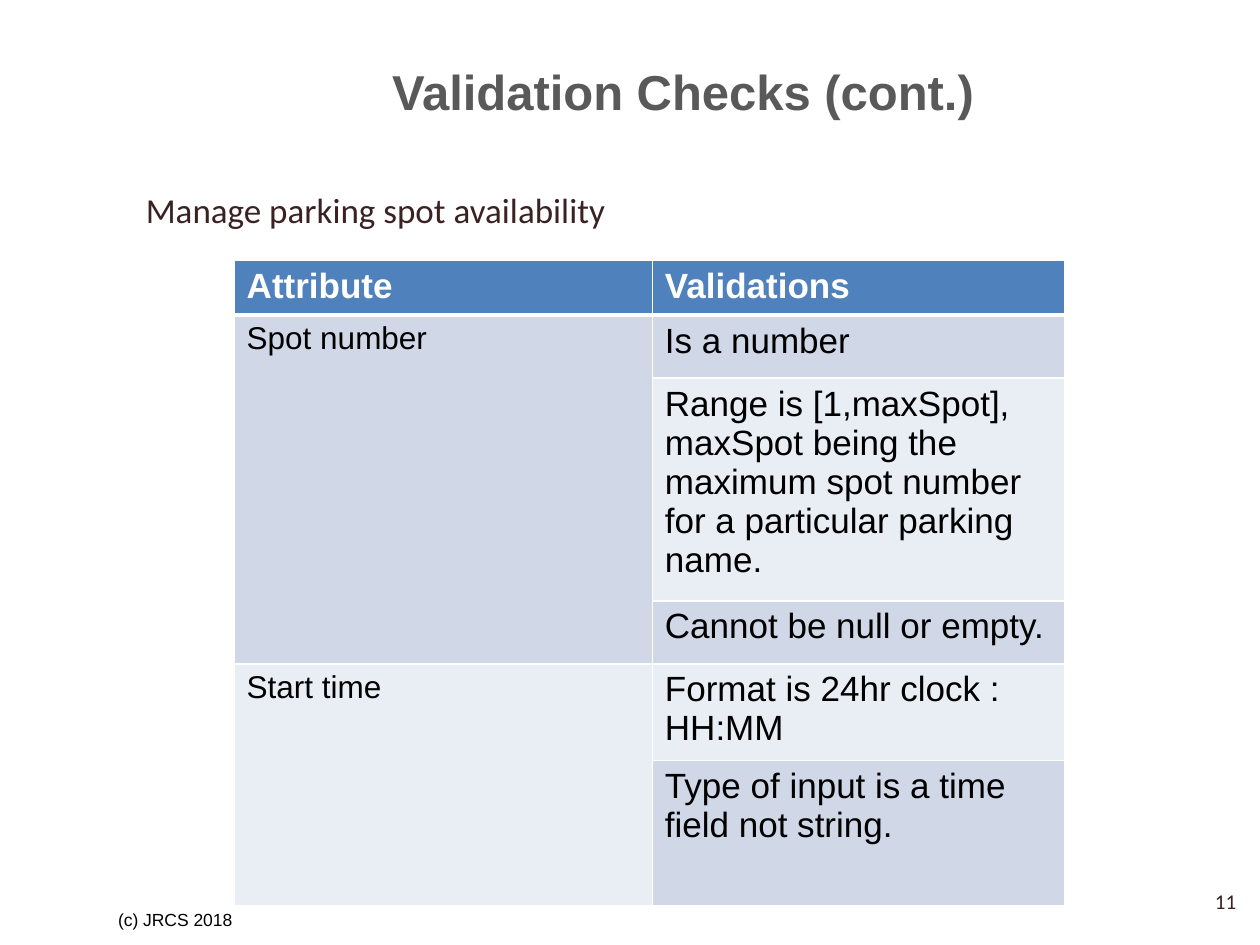
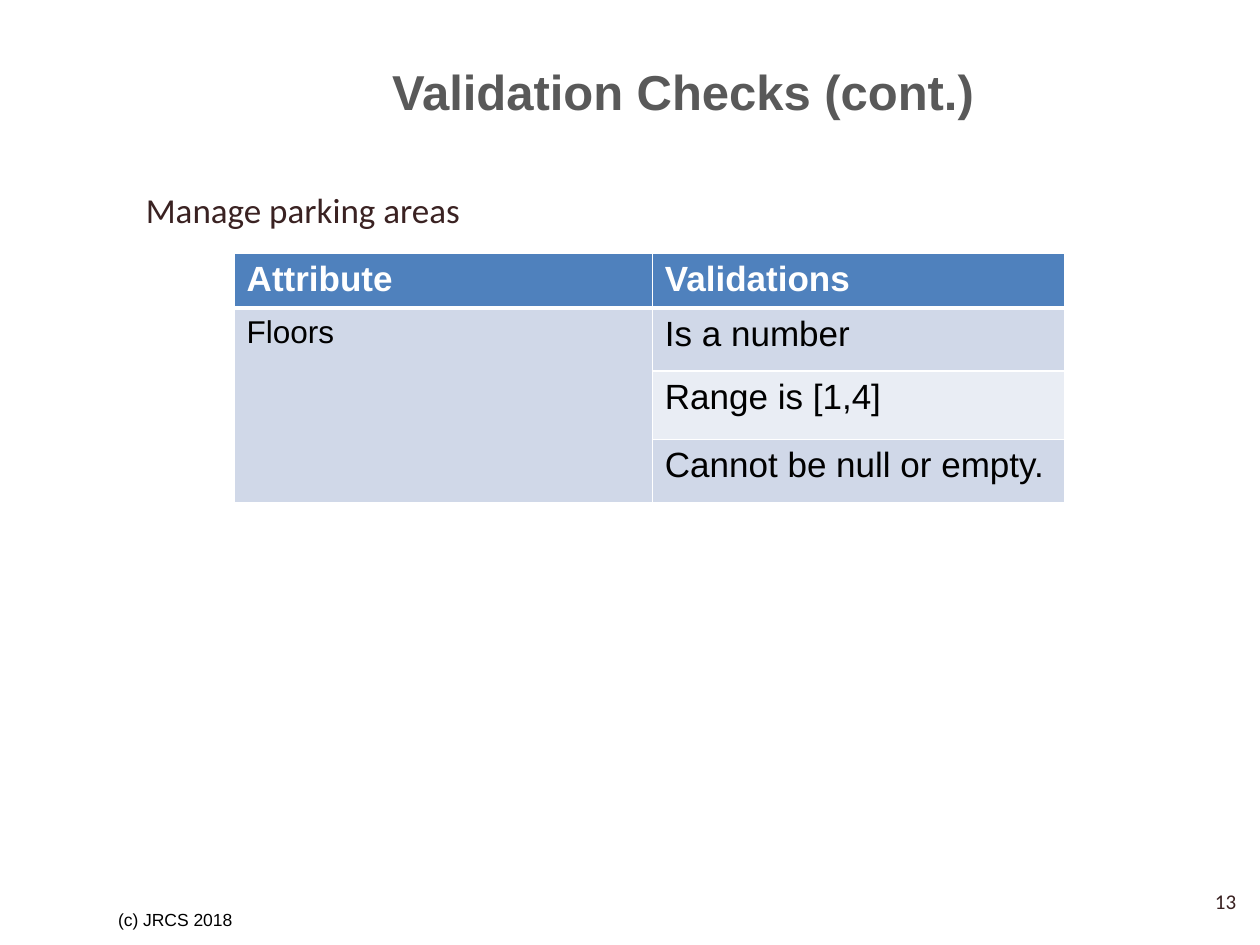
from lxml.etree import SubElement
from pptx import Presentation
from pptx.dml.color import RGBColor
from pptx.enum.text import MSO_ANCHOR, PP_ALIGN
from pptx.oxml.ns import qn
from pptx.util import Cm, Pt

TITLE = "Validation Checks (cont.)"
COPYRIGHT = "(c) JRCS 2018"
HEADERS = ("Attribute", "Validations")
HEADER_HEIGHT = 1.02
TABLE_LEFT = 4.72
COLUMN_WIDTHS = (8.43, 8.31)

SLIDES = [
    {
        "number": "11",
        "subject": "Manage parking spot availability",
        "table_top": 5.25,
        "attributes": [
            ("Spot number", [
                ("Is a number", 1.27),
                ("Range is [1,maxSpot], maxSpot being the maximum spot number "
                 "for a particular parking name.", 4.2),
                ("Cannot be null or empty.", 1.27),
            ]),
            ("Start time", [
                ("Format is 24hr clock : HH:MM", 1.84),
                ("Type of input is a time field not string.", 2.92),
            ]),
        ],
    },
    {
        "number": "13",
        "subject": "Manage parking areas",
        "table_top": 5.11,
        "attributes": [
            ("Floors", [
                ("Is a number", 1.27),
                ("Range is [1,4]", 1.38),
                ("Cannot be null or empty.", 1.27),
            ]),
        ],
    },
]

WHITE, BLACK, GREY, BROWN = "FFFFFF", "000000", "595959", "3A2222"
HEADER_BLUE = "4F81BD"
BANDS = ("E9EDF4", "D0D8E8")


def color(value):
    return RGBColor.from_string(value)


def write(frame, text, size=20, font="Arial", ink=BLACK, bold=False,
          align=PP_ALIGN.LEFT, anchor=None):
    frame.word_wrap = True
    if anchor is not None:
        frame.vertical_anchor = anchor
    para = frame.paragraphs[0]
    para.alignment = align
    span = para.add_run()
    span.text = text
    span.font.size = Pt(size)
    span.font.name = font
    span.font.bold = bold
    span.font.color.rgb = color(ink)


def add_text(page, left, top, width, height, text, **style):
    box = page.shapes.add_textbox(Cm(left), Cm(top), Cm(width), Cm(height))
    write(box.text_frame, text, **style)


def paint(cell, fill, top=1, bottom=1):
    properties = cell._tc.get_or_add_tcPr()
    for side, width in (("L", 1), ("R", 1), ("T", top), ("B", bottom)):
        line = SubElement(properties, qn(f"a:ln{side}"), w=str(Pt(width)))
        solid = SubElement(line, qn("a:solidFill"))
        SubElement(solid, qn("a:srgbClr"), val=WHITE)
    cell.fill.solid()
    cell.fill.fore_color.rgb = color(fill)


def add_checks(page, top, attributes):
    checks = [check for _, group in attributes for check in group]
    heights = [HEADER_HEIGHT] + [height for _, height in checks]
    table = page.shapes.add_table(
        len(heights), len(HEADERS), Cm(TABLE_LEFT), Cm(top),
        Cm(sum(COLUMN_WIDTHS)), Cm(sum(heights))).table
    for column, width in zip(table.columns, COLUMN_WIDTHS):
        column.width = Cm(width)
    for row, height in zip(table.rows, heights):
        row.height = Cm(height)

    for column, header in enumerate(HEADERS):
        cell = table.cell(0, column)
        paint(cell, HEADER_BLUE, bottom=3)
        write(cell.text_frame, header, ink=WHITE, bold=True)

    first = 1
    for attribute, group in attributes:
        last = first + len(group) - 1
        for row, (check, _) in enumerate(group, first):
            edge = 3 if row == 1 else 1
            paint(table.cell(row, 0), BANDS[first % 2], top=edge)
            paint(table.cell(row, 1), BANDS[row % 2], top=edge)
            write(table.cell(row, 1).text_frame, check)
        table.cell(first, 0).merge(table.cell(last, 0))
        write(table.cell(first, 0).text_frame, attribute, size=18)
        first = last + 1


def add_page(deck, content):
    page = deck.slides.add_slide(deck.slide_layouts[5])
    title = page.shapes.title
    title.left, title.top = Cm(2.34), Cm(0.76)
    title.width, title.height = Cm(22.86), Cm(2.13)
    write(title.text_frame, TITLE, size=28, ink=GREY, bold=True,
          align=PP_ALIGN.CENTER, anchor=MSO_ANCHOR.MIDDLE)
    add_text(page, 2.69, 3.68, 22.02, 1.2, content["subject"],
             font="Calibri", ink=BROWN)
    add_checks(page, content["table_top"], content["attributes"])
    add_text(page, 2.13, 18.03, 5.92, 1.02, COPYRIGHT, size=10,
             anchor=MSO_ANCHOR.MIDDLE)
    add_text(page, 19.25, 17.65, 5.92, 1.02, content["number"], size=12,
             font="Calibri", ink=BROWN, align=PP_ALIGN.RIGHT,
             anchor=MSO_ANCHOR.MIDDLE)


def main():
    deck = Presentation()
    deck.slide_width, deck.slide_height = Cm(25.4), Cm(19.05)
    for content in SLIDES:
        add_page(deck, content)
    deck.save("out.pptx")


if __name__ == "__main__":
    main()
